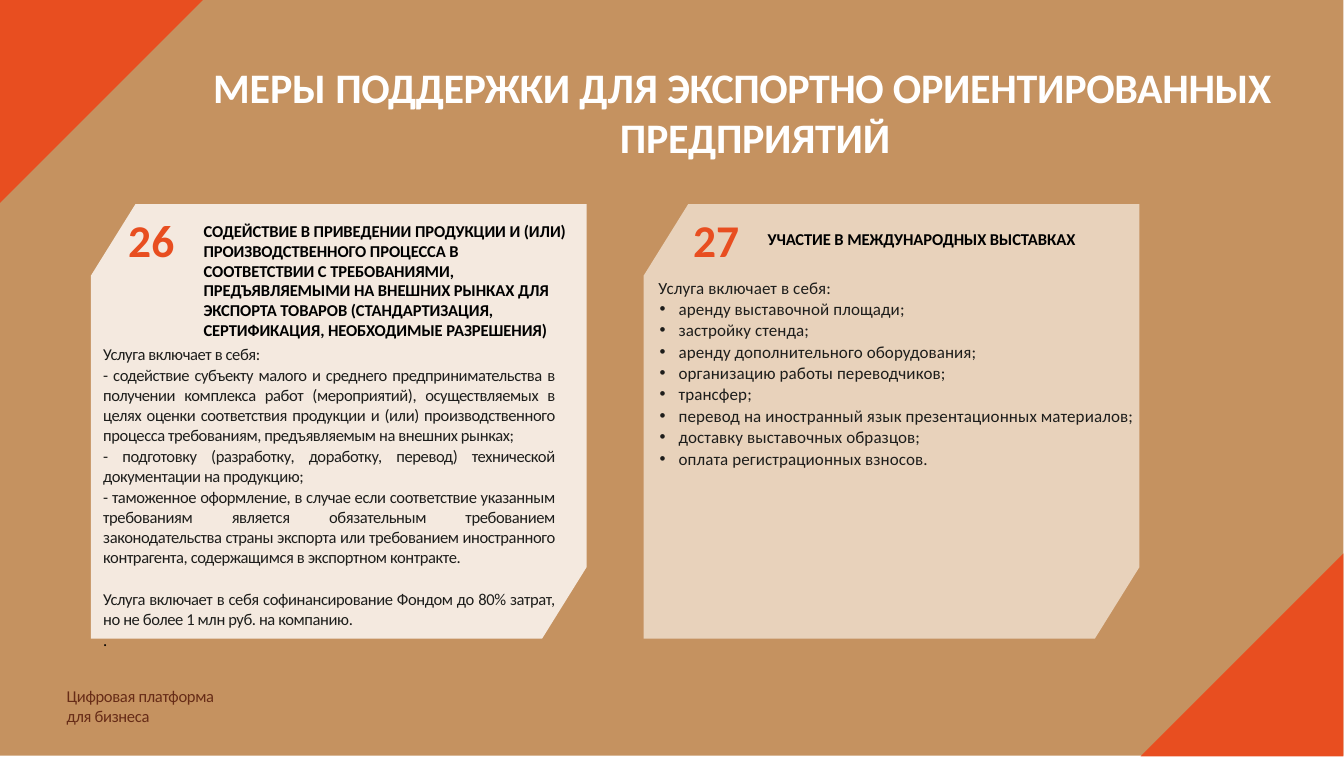
import pptx
import pptx.dml.color
import pptx.enum.shapes
import pptx.enum.text
import pptx.util
from lxml import etree
from pptx.oxml.ns import qn

Cm, Pt = pptx.util.Cm, pptx.util.Pt
RGBColor = pptx.dml.color.RGBColor
JUSTIFY = pptx.enum.text.PP_ALIGN.JUSTIFY

SAND = RGBColor(0xC5, 0x92, 0x60)
ORANGE = RGBColor(0xE8, 0x4E, 0x20)
CREAM = RGBColor(0xF4, 0xE9, 0xDF)
BEIGE = RGBColor(0xE8, 0xD2, 0xBB)
BROWN = RGBColor(0x67, 0x2C, 0x17)
INK = RGBColor(0x1D, 0x1D, 0x1B)
BLACK = RGBColor(0, 0, 0)
WHITE = RGBColor(255, 255, 255)

# Content: title pieces carry their letter spacing in points
TITLE = [
    ("МЕРЫ ", -0.1), ("ПОДДЕРЖКИ ", -0.5), ("ДЛЯ ", 0),
    ("ЭКСПОРТНО ", -0.5), ("ОРИЕНТИРОВАННЫХ ПРЕДПРИЯТИЙ", -0.3),
]
FOOTER = "Цифровая платформа для бизнеса"
STANDARDS = {
    "number": "26",
    "heading": "СОДЕЙСТВИЕ В ПРИВЕДЕНИИ ПРОДУКЦИИ И (ИЛИ) ПРОИЗВОДСТВЕННОГО "
               "ПРОЦЕССА В СООТВЕТСТВИИ С ТРЕБОВАНИЯМИ, ПРЕДЪЯВЛЯЕМЫМИ НА "
               "ВНЕШНИХ РЫНКАХ ДЛЯ ЭКСПОРТА ТОВАРОВ (СТАНДАРТИЗАЦИЯ, "
               "СЕРТИФИКАЦИЯ, НЕОБХОДИМЫЕ РАЗРЕШЕНИЯ)",
    "intro": "Услуга включает в себя:",
    "details": [
        "- содействие субъекту малого и среднего предпринимательства в "
        "получении комплекса работ (мероприятий), осуществляемых в целях "
        "оценки соответствия продукции и (или) производственного процесса "
        "требованиям, предъявляемым на внешних рынках;",
        "- подготовку (разработку, доработку, перевод) технической "
        "документации на продукцию;",
        "- таможенное оформление, в случае если соответствие указанным "
        "требованиям является обязательным требованием законодательства "
        "страны экспорта или требованием иностранного контрагента, "
        "содержащимся в экспортном контракте.",
    ],
    "financing": "Услуга включает в себя софинансирование Фондом до 80% "
                 "затрат, но не более 1 млн руб. на компанию.",
    "ending": ".",
}
EXHIBITIONS = {
    "number": "27",
    "heading": "УЧАСТИЕ В МЕЖДУНАРОДНЫХ ВЫСТАВКАХ",
    "intro": "Услуга включает в себя:",
    "details": [
        "аренду выставочной площади;",
        "застройку стенда;",
        "аренду дополнительного оборудования;",
        "организацию работы переводчиков;",
        "трансфер;",
        "перевод на иностранный язык презентационных материалов;",
        "доставку выставочных образцов;",
        "оплата регистрационных взносов.",
    ],
}

# Sizes in centimetres
SLIDE_W, SLIDE_H = 55.85, 31.45
FIELD_W, FIELD_H = 55.83, 31.42
CORNER = 8.43
CARD_TOP, CARD_W, CARD_H = 8.48, 20.6, 18.05
CUT_W, CUT_H = 1.85, 2.97
STANDARDS_LEFT, EXHIBITIONS_LEFT = 3.78, 26.75

# Text formats
TITLE_STYLE = {"size": Pt(49.5), "bold": True, "color": WHITE}
NUMBER_STYLE = {"size": Pt(53.5), "bold": True, "color": ORANGE}
HEADING_STYLE = {"size": Pt(19.5), "bold": True, "color": BLACK}
STANDARDS_STYLE = {"size": Pt(19.5), "color": INK}
EXHIBITIONS_STYLE = {"size": Pt(20), "color": INK}
FOOTER_STYLE = {"size": Pt(19.5), "color": BROWN}
ENDING_STYLE = {"size": Pt(19.5), "color": BLACK}


def paint(shape, color):
    shape.shadow.inherit = False
    shape.fill.solid()
    shape.fill.fore_color.rgb = color
    shape.line.fill.background()


def add_outline(slide, points, color):
    corners = [(Cm(x), Cm(y)) for x, y in points]
    builder = slide.shapes.build_freeform(*corners[0])
    builder.add_line_segments(corners[1:], close=True)
    paint(builder.convert_to_shape(), color)


def add_box(slide, left, top, width, height):
    box = slide.shapes.add_textbox(Cm(left), Cm(top), Cm(width), Cm(height))
    frame = box.text_frame
    for name, value in {"word_wrap": True, "margin_left": 0, "margin_right": 0,
                        "margin_top": Cm(0.03), "margin_bottom": 0}.items():
        setattr(frame, name, value)
    return frame


def add_run(paragraph, text, style, spacing):
    run = paragraph.add_run()
    run.text = text
    run.font.name = "Calibri"
    for name, value in style.items():
        if name == "color":
            run.font.color.rgb = value
        else:
            setattr(run.font, name, value)
    run._r.get_or_add_rPr().set("spc", str(round(spacing * 100)))


def add_line(frame, text, style, spacing, **layout):
    first = not frame.paragraphs[0].runs
    paragraph = frame.paragraphs[0] if first else frame.add_paragraph()
    for name, value in layout.items():
        if not (first and name == "space_before"):
            setattr(paragraph, name, value)
    add_run(paragraph, text, style, spacing)
    return paragraph


def set_indent(paragraph, left, hanging, bullet=None):
    props = paragraph._p.get_or_add_pPr()
    props.set("marL", str(Cm(left)))
    props.set("indent", str(-Cm(hanging)))
    if bullet:
        etree.SubElement(props, qn("a:buFont")).set("typeface", "Arial")
        etree.SubElement(props, qn("a:buChar")).set("char", bullet)


def add_card(slide, left, color):
    right, bottom = left + CARD_W, CARD_TOP + CARD_H
    add_outline(slide, [
        (right, CARD_TOP), (left + CUT_W, CARD_TOP), (left, CARD_TOP + CUT_H),
        (left, bottom), (right - CUT_W, bottom), (right, bottom - CUT_H),
    ], color)


def add_card_head(slide, service, card_left, heading_box):
    number = add_box(slide, card_left + 1.55, 8.79, 2, 2.34)
    add_line(number, service["number"], NUMBER_STYLE, 0.2)
    add_line(add_box(slide, *heading_box), service["heading"], HEADING_STYLE, -0.15)


def main():
    deck = pptx.Presentation()
    deck.slide_width, deck.slide_height = Cm(SLIDE_W), Cm(SLIDE_H)
    slide = deck.slides.add_slide(deck.slide_layouts[6])

    # Field and corner triangles
    field = slide.shapes.add_shape(pptx.enum.shapes.MSO_SHAPE.RECTANGLE,
                                   0, 0, Cm(FIELD_W), Cm(31.39))
    paint(field, SAND)
    add_outline(slide, [(0, 0), (CORNER, 0), (0, CORNER)], ORANGE)
    add_outline(slide, [(FIELD_W, FIELD_H), (FIELD_W - CORNER, FIELD_H),
                        (FIELD_W, FIELD_H - CORNER)], ORANGE)

    # Title: the second line hangs under the middle of the first
    title = add_box(slide, 8.84, 2.51, 44.4, 4.27).paragraphs[0]
    set_indent(title, 16.92, 16.9)
    for text, spacing in TITLE:
        add_run(title, text, TITLE_STYLE, spacing)

    # Cards
    add_card(slide, STANDARDS_LEFT, CREAM)
    add_card(slide, EXHIBITIONS_LEFT, BEIGE)
    add_card_head(slide, STANDARDS, STANDARDS_LEFT, (8.46, 9.14, 15.19, 5.03))
    add_card_head(slide, EXHIBITIONS, EXHIBITIONS_LEFT + 0.5, (31.9, 9.47, 14.81, 1.04))

    # Standards service
    body = add_box(slide, 4.29, 14.27, 18.77, 12.85)
    layout = {"alignment": JUSTIFY, "line_spacing": 1.01, "space_before": Pt(0.8)}
    for text in [STANDARDS["intro"], *STANDARDS["details"]]:
        add_line(body, text, STANDARDS_STYLE, -0.5, **layout)
    add_line(body, STANDARDS["financing"], STANDARDS_STYLE, -0.5,
             **{**layout, "space_before": Pt(25.6)})
    add_line(body, STANDARDS["ending"], ENDING_STYLE, -0.3, **layout)

    # Exhibitions service
    body = add_box(slide, 27.36, 11.48, 20.04, 11.66)
    layout = {"line_spacing": 1.01, "space_before": Pt(0.9)}
    add_line(body, EXHIBITIONS["intro"], EXHIBITIONS_STYLE, 0.1, **layout)
    for text in EXHIBITIONS["details"]:
        item = add_line(body, text, EXHIBITIONS_STYLE, 0.1, **layout)
        set_indent(item, 0.84, 0.79, "•")

    # Footer
    add_line(add_box(slide, 2.77, 28.5, 6.12, 1.7), FOOTER, FOOTER_STYLE, -0.4,
             line_spacing=Pt(22.8))

    deck.save("out.pptx")


if __name__ == "__main__":
    main()
